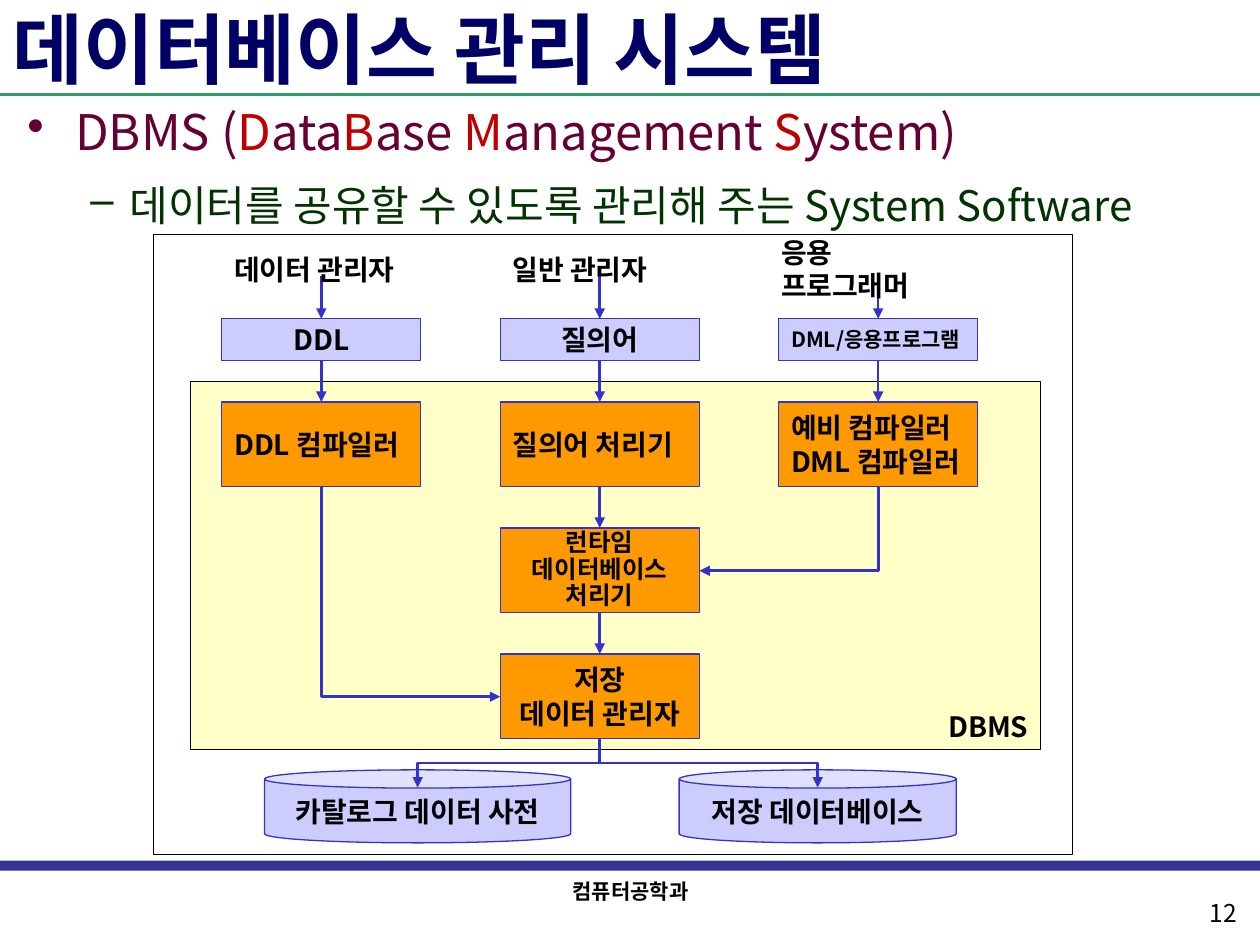
"""Build a slide that explains the structure of a database management system."""
from dataclasses import dataclass

from lxml.etree import SubElement
from pptx import Presentation
from pptx.dml.color import RGBColor
from pptx.enum.shapes import MSO_CONNECTOR, MSO_SHAPE
from pptx.enum.text import MSO_ANCHOR, PP_ALIGN
from pptx.oxml.ns import qn
from pptx.util import Inches, Pt


@dataclass(frozen=True)
class Theme:
    font: str = "Noto Sans CJK KR"
    black: str = "000000"
    title: str = "000066"
    head: str = "660033"
    accent: str = "C00000"
    sub: str = "003300"
    bar: str = "333399"
    rule: str = "339966"
    line: str = "3333CC"
    lilac: str = "CCCCFF"
    orange: str = "FF9900"
    cream: str = "FFFFC7"
    title_size: int = 44
    head_size: int = 28
    sub_size: int = 24
    label_size: int = 16
    compact_size: int = 14
    small_size: int = 12


class Deck:
    def __init__(self, slide, theme):
        self.slide = slide
        self.theme = theme

    def add_run(self, p, text, size, color, bold=False):
        r = p.add_run()
        r.text = text
        r.font.size = Pt(size)
        r.font.bold = bold
        r.font.color.rgb = RGBColor.from_string(color)
        r.font.name = self.theme.font
        SubElement(r.font._element, qn("a:ea"), typeface=self.theme.font)

    def label(self, sp, lines, size, color=None, bold=True, align=PP_ALIGN.LEFT,
              anchor=MSO_ANCHOR.MIDDLE, spacing=None, wrap=False):
        tf = sp.text_frame
        tf.word_wrap = wrap
        tf.vertical_anchor = anchor
        for i, text in enumerate(lines):
            p = tf.paragraphs[0] if i == 0 else tf.add_paragraph()
            p.alignment = align
            p.line_spacing = spacing
            self.add_run(p, text, size, color or self.theme.black, bold)

    def text(self, box, content, size, **style):
        sp = self.slide.shapes.add_textbox(*map(Inches, box))
        self.label(sp, [content], size, **style)

    def bullet(self, p, mark, margin, indent):
        pPr = p._p.get_or_add_pPr()
        pPr.set("marL", str(Inches(margin)))
        pPr.set("indent", str(Inches(-indent)))
        SubElement(pPr, qn("a:buChar"), char=mark)

    def shape(self, box, fill=None, line=None, kind=MSO_SHAPE.RECTANGLE):
        sp = self.slide.shapes.add_shape(kind, *map(Inches, box))
        sp.shadow.inherit = False
        if fill:
            sp.fill.solid()
            sp.fill.fore_color.rgb = RGBColor.from_string(fill)
        else:
            sp.fill.background()
        if line:
            sp.line.color.rgb = RGBColor.from_string(line)
            sp.line.width = Pt(0.75)
        else:
            sp.line.fill.background()
        return sp

    def finish(self, c, color, width, arrow):
        c.line.color.rgb = RGBColor.from_string(color)
        c.line.width = Pt(width)
        spPr = c._element.spPr
        if arrow:
            SubElement(spPr.find(qn("a:ln")), qn("a:tailEnd"), type="triangle")
        SubElement(spPr, qn("a:effectLst"))

    def line(self, x1, y1, x2, y2, color=None, width=1.5, arrow=True):
        c = self.slide.shapes.add_connector(
            MSO_CONNECTOR.STRAIGHT, *map(Inches, (x1, y1, x2, y2)))
        self.finish(c, color or self.theme.line, width, arrow)

    def elbow(self, x1, y1, x2, y2, preset):
        w, h = y2 - y1, abs(x2 - x1)
        left, top = (x1 + x2 - w) / 2, (y1 + y2 - h) / 2
        c = self.slide.shapes.add_connector(
            MSO_CONNECTOR.ELBOW, *map(Inches, (left, top, left + w, top + h)))
        spPr = c._element.spPr
        spPr.find(qn("a:prstGeom")).set("prst", preset)
        xfrm = spPr.find(qn("a:xfrm"))
        if x2 > x1:
            xfrm.set("rot", "16200000")
            xfrm.set("flipH", "1")
        else:
            xfrm.set("rot", "5400000")
        self.finish(c, self.theme.line, 1.5, True)


def add_page(deck):
    t = deck.theme
    deck.shape((0, 6.83, 10, 0.08), t.bar)
    deck.line(0, 0.75, 10, 0.75, t.rule, 2, False)
    deck.text((4.4, 6.92, 1.21, 0.3), "컴퓨터공학과", t.small_size,
              align=PP_ALIGN.CENTER, anchor=MSO_ANCHOR.TOP)
    deck.text((9.5, 7.08, 0.49, 0.33), "12", t.compact_size, bold=False,
              anchor=MSO_ANCHOR.TOP)
    deck.text((0, 0, 10, 0.75), "데이터베이스 관리 시스템", t.title_size,
              color=t.title, wrap=True)


def add_body(deck):
    t = deck.theme
    sp = deck.slide.shapes.add_textbox(*map(Inches, (0.12, 0.76, 9.76, 5.58)))
    tf = sp.text_frame
    tf.word_wrap = True
    p = tf.paragraphs[0]
    deck.bullet(p, "•", 0.38, 0.38)
    parts = ("DBMS (", "D", "ata", "B", "ase ", "M", "anagement ", "S", "ystem)")
    for i, part in enumerate(parts):
        deck.add_run(p, part, t.head_size, t.accent if i % 2 else t.head)
    p = tf.add_paragraph()
    p.level = 1
    deck.bullet(p, "–", 0.81, 0.31)
    p.line_spacing = 1.2
    p.space_before = Pt(4.8)
    deck.add_run(p, "데이터를 공유할 수 있도록 관리해 주는 System Software",
                 t.sub_size, t.sub)


def add_diagram(deck):
    t = deck.theme
    lefts = (1.76, 3.97, 6.18)
    width, low, high = 1.58, 0.33, 0.67
    centers = [left + width / 2 for left in lefts]
    mid_left, mid = lefts[1], centers[1]
    center = PP_ALIGN.CENTER

    deck.shape((1.22, 1.86, 7.29, 4.92), line=t.black)
    dbms = deck.shape((1.51, 3.03, 6.75, 2.92), t.cream, t.black)
    deck.label(dbms, ["DBMS"], t.label_size, align=PP_ALIGN.RIGHT,
               anchor=MSO_ANCHOR.BOTTOM)

    columns = (
        ("DDL", t.label_size, center, ["DDL 컴파일러"]),
        ("질의어", t.label_size, center, ["질의어 처리기"]),
        ("DML/응용프로그램", t.small_size, PP_ALIGN.LEFT,
         ["예비 컴파일러", "DML 컴파일러"]),
    )
    for left, x, (language, size, align, tool) in zip(lefts, centers, columns):
        sp = deck.shape((left, 2.53, width, low), t.lilac, t.line)
        deck.label(sp, [language], size, align=align)
        sp = deck.shape((left, 3.19, width, high), t.orange, t.line)
        deck.label(sp, tool, t.label_size)
        deck.line(x, 2.19, x, 2.53)
        deck.line(x, 2.86, x, 3.19)

    runtime = deck.shape((mid_left, 4.19, width, high), t.orange, t.line)
    deck.label(runtime, ["런타임", "데이터베이스", "처리기"], t.compact_size,
               align=center, spacing=0.9)
    storage = deck.shape((mid_left, 5.19, width, high), t.orange, t.line)
    deck.label(storage, ["저장", "데이터 관리자"], t.label_size, align=center)
    for y in (3.86, 4.86):
        deck.line(mid, y, mid, y + low)

    stores = ((2.1, 2.43, "카탈로그 데이터 사전"), (5.39, 2.2, "저장 데이터베이스"))
    for left, store_width, name in stores:
        can = deck.shape((left, 6.11, store_width, 0.58), t.lilac, t.line,
                         MSO_SHAPE.CAN)
        deck.label(can, [name], t.label_size, align=center)
        deck.elbow(mid, 5.86, left + store_width / 2, 6.25, "bentConnector3")
    deck.elbow(centers[0], 3.86, mid_left, 5.53, "bentConnector2")
    deck.elbow(centers[2], 3.86, mid_left + width, 4.53, "bentConnector2")

    users = ("데이터 관리자", "일반 관리자", "응용 프로그래머")
    for left, user in zip((*lefts[:2], 6.1), users):
        deck.text((left, 1.97, width, low), user, t.label_size)


def main():
    prs = Presentation()
    prs.slide_width, prs.slide_height = Inches(10), Inches(7.5)
    deck = Deck(prs.slides.add_slide(prs.slide_layouts[6]), Theme())
    add_page(deck)
    add_body(deck)
    add_diagram(deck)
    prs.save("out.pptx")


if __name__ == "__main__":
    main()
